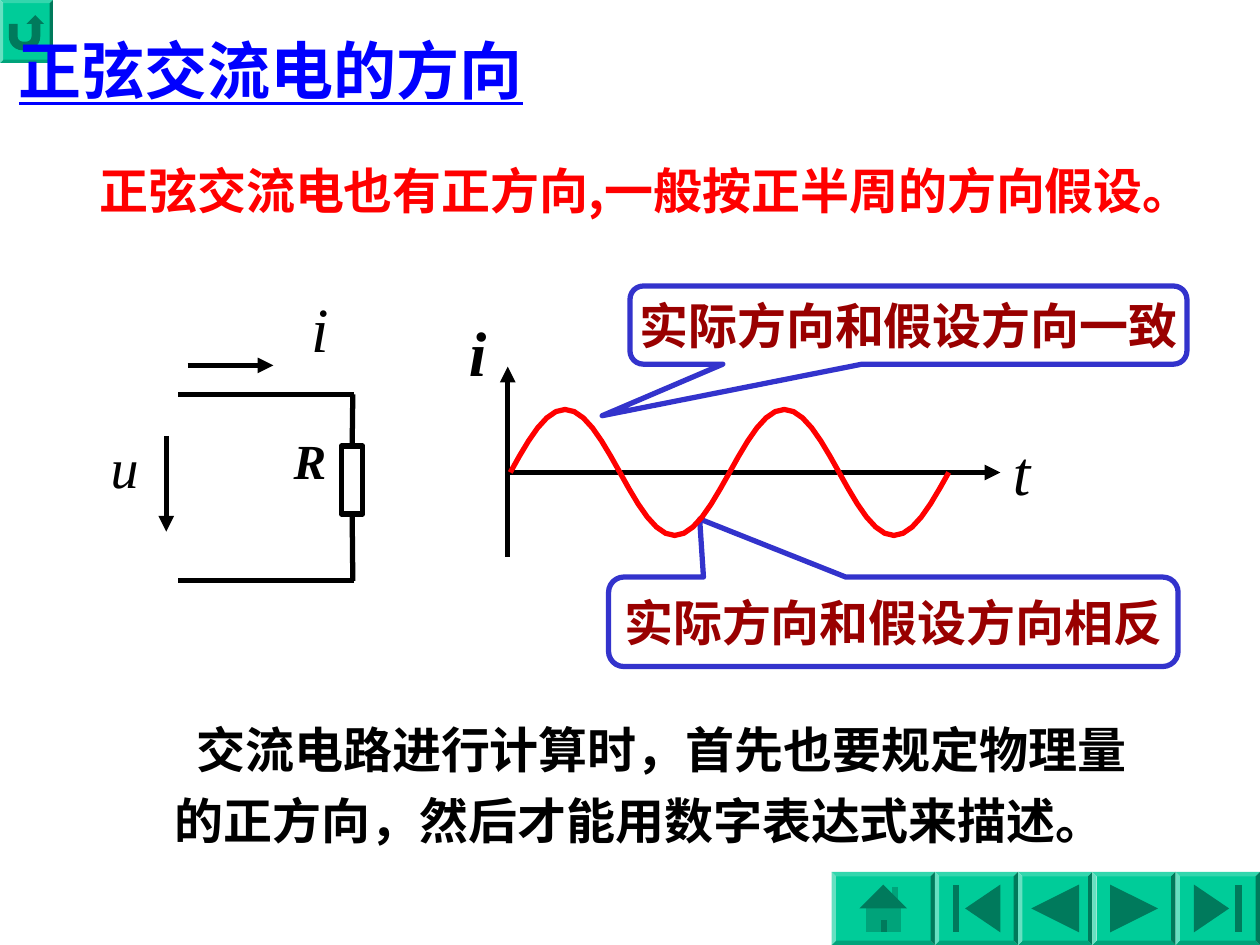
import math

from lxml import etree
from pptx import Presentation
from pptx import util as u
from pptx.dml.color import RGBColor
from pptx.enum import shapes, text
from pptx.oxml.ns import qn

CJK, LATIN = "Noto Sans CJK SC", "Times New Roman"
INK, WHITE, RED, BLUE = "000000", "FFFFFF", "FF0000", "3333CC"
GREEN, DARK, MID = "00CC99", "007A5C", "00A37A"
KIND = shapes.MSO_SHAPE


def rgb(code):
    return RGBColor.from_string(code)


def inch(*vals):
    return [u.Inches(v) for v in vals]


class Board:
    def __init__(self, slide):
        self.root = self.pen = slide.shapes
        self.width = u.Pt(3)

    def group(self):
        """Send the next elements into a new group."""
        self.pen = self.root.add_group_shape().shapes

    def leave(self):
        self.pen = self.root

    def paint(self, shape, fill=None, line=None):
        shape.shadow.inherit = False
        if fill:
            shape.fill.solid()
            shape.fill.fore_color.rgb = rgb(fill)
        else:
            shape.fill.background()
        if line:
            shape.line.color.rgb = rgb(line)
            shape.line.width = self.width
        else:
            shape.line.fill.background()

    def shape(self, kind, box, fill, line=None, adj=()):
        item = self.pen.add_shape(kind, *inch(*box))
        for n, val in enumerate(adj):
            item.adjustments[n] = val
        self.paint(item, fill, line)
        return item

    def words(self, frame, lines, size, color, font=CJK, bold=True,
              italic=False, under=False, center=False, space=None,
              indent=0, wrap=False):
        frame.word_wrap = wrap
        for n, line in enumerate(lines):
            para = frame.paragraphs[0] if n == 0 else frame.add_paragraph()
            para.alignment = (text.PP_ALIGN.CENTER if center
                              else text.PP_ALIGN.LEFT)
            if space:
                para.line_spacing = space
            if indent and n == 0:
                para._p.get_or_add_pPr().set("indent", str(u.Inches(indent)))
            run = para.add_run()
            run.text = line
            face = run.font
            face.size, face.name = u.Pt(size), font
            face.bold, face.italic, face.underline = bold, italic, under
            face.color.rgb = rgb(color)
            east = etree.SubElement(run._r.get_or_add_rPr(), qn("a:ea"))
            east.set("typeface", font)

    def label(self, box, lines, size, color=INK, **style):
        frame = self.pen.add_textbox(*inch(*box)).text_frame
        self.words(frame, lines, size, color, **style)

    def symbol(self, box, sign, size=36, bold=False, center=True):
        self.label(box, [sign], size, font=LATIN, bold=bold, italic=True,
                   center=center)

    def callout(self, box, adj, line):
        item = self.shape(KIND.ROUNDED_RECTANGULAR_CALLOUT, box, WHITE,
                          BLUE, adj)
        item.text_frame.vertical_anchor = text.MSO_ANCHOR.MIDDLE
        self.words(item.text_frame, [line], 28, "990000", center=True)

    def line(self, start, end, arrow=False):
        item = self.pen.add_connector(shapes.MSO_CONNECTOR.STRAIGHT,
                                      *inch(*start, *end))
        item.line.color.rgb = rgb(INK)
        item.line.width = self.width
        if arrow:
            edge = item._element.spPr.find(qn("a:ln"))
            etree.SubElement(edge, qn("a:tailEnd")).set("type", "triangle")
        etree.SubElement(item._element.spPr, qn("a:effectLst"))
        return item

    def free(self, pts, fill=None, line=None, close=True):
        pts = [inch(*p) for p in pts]
        pen = self.pen.build_freeform(*pts[0])
        pen.add_line_segments(pts[1:], close=close)
        self.paint(pen.convert_to_shape(), fill, line)

    def button(self, box, parts):
        """Draw a bevelled button; parts are (colour, points from centre)."""
        self.shape(KIND.BEVEL, box, GREEN, adj=[0.06])
        x, y = box[0] + box[2] / 2, box[1] + box[3] / 2
        for color, pts in parts:
            self.free([(x + a, y + b) for a, b in pts], color)


def rect(left, top, right, low):
    return [(left, top), (right, top), (right, low), (left, low)]


def wedge(tip, base):
    return [(tip, 0), (base, -0.19), (base, 0.19)]


def flip(pts):
    return [(-a, b) for a, b in pts]


def arc(x, y, r, start, end):
    turns = [math.radians(start + (end - start) * n / 6) for n in range(7)]
    return [(x + r * math.cos(t), y + r * math.sin(t)) for t in turns]


def hook():
    """Outline of the U-shaped return arrow."""
    return ([(-0.14, -0.06), (-0.07, -0.06)]
            + arc(-0.03, 0.04, 0.04, 180, 90) + arc(0, 0.04, 0.04, 90, 0)
            + [(0.04, -0.06), (0, -0.06), (0.07, -0.13), (0.14, -0.06),
               (0.11, -0.06)]
            + arc(0, 0.04, 0.11, 0, 90) + arc(-0.03, 0.04, 0.11, 90, 180))


def buttons(board):
    bar, near = rect(-0.19, -0.19, -0.14, 0.19), wedge(-0.09, 0.19)
    back = wedge(-0.19, 0.19)
    home = [(MID, rect(0.07, -0.17, 0.12, 0)),
            (MID, rect(-0.14, 0, 0.14, 0.19)),
            (DARK, [(0, -0.19), (0.19, 0), (-0.19, 0)]),
            (DARK, rect(-0.02, 0.09, 0.03, 0.19))]
    board.button((0, 0, 0.42, 0.5), [(DARK, hook())])
    left = 6.6
    for width, parts in (
            (0.82, home),
            (0.66, [(DARK, near), (DARK, bar)]),
            (0.59, [(DARK, back)]),
            (0.66, [(DARK, flip(back))]),
            (0.67, [(DARK, flip(near)), (DARK, flip(bar))])):
        board.button((left, 6.92, width, 0.58), parts)
        left += width


def graph(board):
    x, y, half, peak, steps = 4.05, 3.75, 0.87, 0.5, 12
    board.group()
    board.line((4.03, 4.42), (4.03, 2.91), arrow=True)
    board.line((4.03, y), (7.94, y), arrow=True)
    board.symbol((7.94, 3.38, 0.51, 0.7), "t", center=False)
    for part in range(4):
        turns = [part + n / steps for n in range(steps + 1)]
        board.free([(x + half * t, y - peak * math.sin(math.pi * t))
                    for t in turns], line=RED, close=False)
    board.symbol((3.62, 2.44, 0.34, 0.7), "i", bold=True)
    board.leave()


def circuit(board):
    load = board.shape(KIND.RECTANGLE, (2.71, 3.54, 0.17, 0.54), WHITE, INK)
    for y, end, site in ((3.13, 3.54, 0), (4.61, 4.08, 2)):
        board.line((2.81, y), (1.41, y))
        board.line((2.8, y), (2.8, end)).end_connect(load, site)
    board.line((1.49, 2.9), (2.17, 2.9), arrow=True)
    board.line((1.32, 3.46), (1.32, 4.22), arrow=True)
    board.symbol((2.37, 2.25, 0.51, 0.7), "i", center=False)
    board.symbol((0.78, 3.38, 0.42, 0.64), "u", 32)
    board.symbol((2.23, 3.37, 0.46, 0.57), "R", 28, bold=True)


def main():
    deck = Presentation()
    deck.slide_width, deck.slide_height = inch(10, 7.5)
    board = Board(deck.slides.add_slide(deck.slide_layouts[6]))
    buttons(board)
    board.label((0.69, 1.13, 9.31, 0.66),
                ["正弦交流电也有正方向,一般按正半周的方向假设。"], 28, RED,
                space=1.2, wrap=True)
    board.label((1.29, 5.57, 7.78, 1.22),
                ["交流电路进行计算时，首先也要规定物理量",
                 "的正方向，然后才能用数字表达式来描述。"], 28,
                space=1.2, indent=0.17)
    board.callout((5, 2.27, 4.42, 0.62), (-0.55, 1.16, 0.17),
                  "实际方向和假设方向一致")
    board.callout((4.83, 4.58, 4.52, 0.71), (-0.34, -1.15, 0.17),
                  "实际方向和假设方向相反")
    graph(board)
    board.label((0.05, 0.2, 4.2, 0.7), ["正弦交流电的方向"], 36, "0000FF",
                under=True, center=True)
    circuit(board)
    deck.save("out.pptx")


if __name__ == "__main__":
    main()
